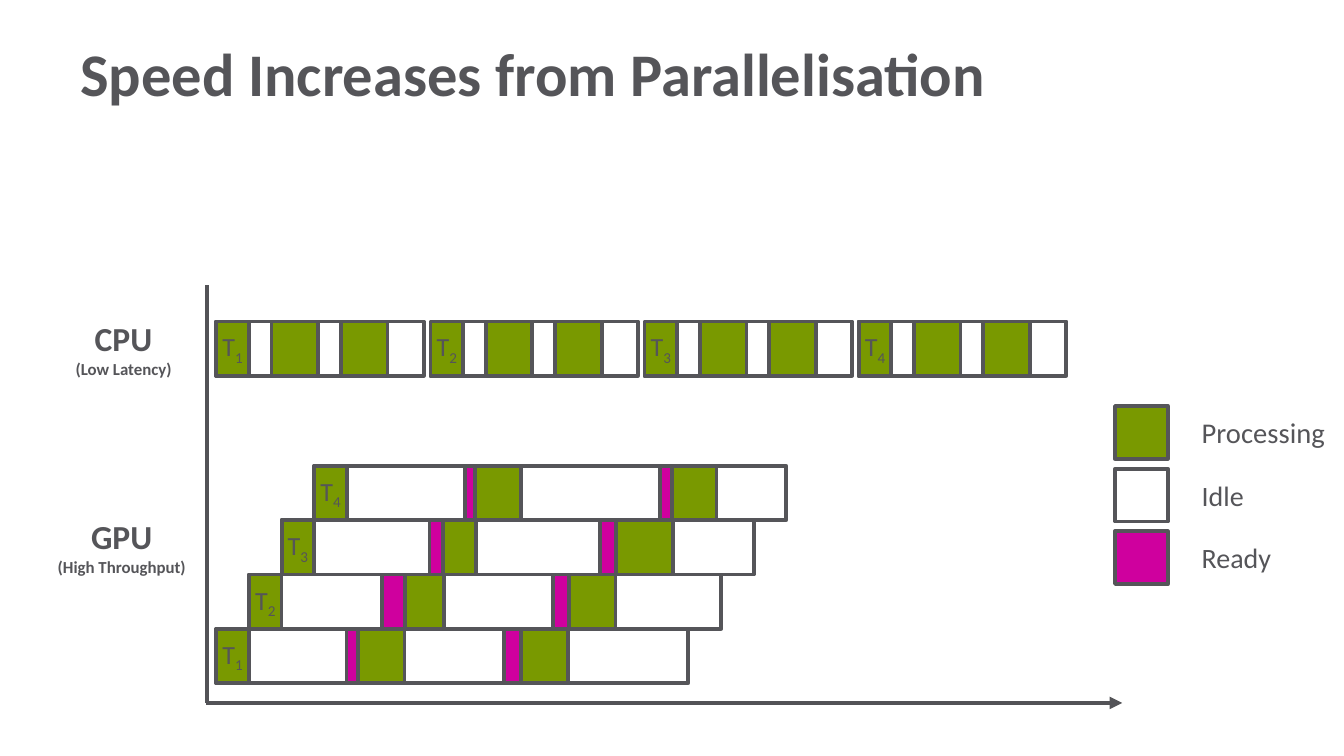
from lxml import etree
from pptx import Presentation
from pptx.dml.color import RGBColor
from pptx.enum.shapes import MSO_CONNECTOR, MSO_SHAPE
from pptx.enum.text import MSO_ANCHOR, PP_ALIGN
from pptx.oxml.ns import qn
from pptx.util import Pt

RECTANGLE = MSO_SHAPE.RECTANGLE
STRAIGHT = MSO_CONNECTOR.STRAIGHT
MIDDLE = MSO_ANCHOR.MIDDLE
LEFT, CENTER = PP_ALIGN.LEFT, PP_ALIGN.CENTER

GREY = RGBColor(0x55, 0x55, 0x59)
AXIS_GREY = RGBColor(0x53, 0x53, 0x57)
GREEN = RGBColor(0x79, 0x99, 0x00)
MAGENTA = RGBColor(0xCF, 0x00, 0x9E)
WHITE = RGBColor(0xFF, 0xFF, 0xFF)
FONT = "Calibri"

BAR_HEIGHT = 29.1
START_WIDTH = 17.5
CHART_LEFT = 115.9

CPU_PROCESSING = [(29.6, 25), (66.8, 25)]
GPU_THREADS = [
    {"processing": [(75.8, 25), (163.4, 25)], "ready": [(69.8, 6), (154.2, 9.2)]},
    {"processing": [(83.5, 20.9), (171.4, 25)], "ready": [(71.3, 12.2), (162.7, 8.7)]},
    {"processing": [(79.2, 25), (179.1, 30.4)], "ready": [(79.2, 7.2), (170.6, 8.5)]},
    {"processing": [(85.9, 25), (191.6, 23.9)], "ready": [(80.8, 5.1), (185.2, 6.4)]},
]


def style_paragraph(paragraph, size, bold=False, alignment=LEFT):
    paragraph.alignment = alignment
    paragraph.font.name = FONT
    paragraph.font.size = Pt(size)
    paragraph.font.bold = bold
    paragraph.font.color.rgb = GREY


def add_text(slide, box, lines, bold=False, alignment=LEFT):
    frame = slide.shapes.add_textbox(*map(Pt, box)).text_frame
    frame.word_wrap = True
    frame.vertical_anchor = MIDDLE
    for index, (text, size) in enumerate(lines):
        paragraph = frame.add_paragraph() if index else frame.paragraphs[0]
        paragraph.text = text
        style_paragraph(paragraph, size, bold, alignment)


def add_block(shapes, box, color):
    block = shapes.add_shape(RECTANGLE, *map(Pt, box))
    block.shadow.inherit = False
    block.fill.solid()
    block.fill.fore_color.rgb = color
    block.line.color.rgb = GREY
    block.line.width = Pt(2)
    return block


def label_thread(block, number):
    frame = block.text_frame
    frame.margin_left = frame.margin_right = frame.margin_top = frame.margin_bottom = 0
    frame.vertical_anchor = MIDDLE
    paragraph = frame.paragraphs[0]
    style_paragraph(paragraph, 14, alignment=CENTER)
    paragraph.add_run().text = "T"
    subscript = paragraph.add_run()
    subscript.text = str(number)
    subscript._r.get_or_add_rPr().set("baseline", "-25000")


def add_thread(slide, box, number, processing, ready=()):
    left, top, width, height = box
    shapes = slide.shapes.add_group_shape().shapes
    add_block(shapes, box, WHITE)
    label_thread(add_block(shapes, (left, top, START_WIDTH, height), GREEN), number)
    for segments, color in ((processing, GREEN), (ready, MAGENTA)):
        for offset, segment_width in segments:
            add_block(shapes, (left + offset, top, segment_width, height), color)


def add_cpu(slide, left, top):
    add_text(slide, (23, 165, 86.4, 43), [("CPU", 18), ("(Low Latency)", 9)], True, CENTER)
    for index in range(4):
        box = (left + 114.7 * index, top, 111.2, BAR_HEIGHT)
        add_thread(slide, box, index + 1, CPU_PROCESSING)


def add_gpu(slide, left, bottom):
    add_text(slide, (18.7, 267.1, 92.9, 51), [("GPU", 18), ("(High Throughput)", 9)], True, CENTER)
    for index, thread in enumerate(GPU_THREADS):
        top = bottom - BAR_HEIGHT * (index + 1)
        box = (left + START_WIDTH * index, top, 252.9, BAR_HEIGHT)
        add_thread(slide, box, index + 1, **thread)


def add_legend(slide, left, top):
    entries = [("Processing", 15.3, GREEN), ("Idle", 15, WHITE), ("Ready", 15, MAGENTA)]
    for index, (name, size, color) in enumerate(entries):
        row_top = top + 33.5 * index
        add_block(slide.shapes, (left, row_top, 28.3, 28.3), color)
        add_text(slide, (left + 39.3, row_top, 83.5, 28.3), [(name, size)])


def add_axis(slide, start, end, arrow=False):
    axis = slide.shapes.add_connector(STRAIGHT, *map(Pt, start + end))
    axis.line.color.rgb = AXIS_GREY
    axis.line.width = Pt(2.25)
    properties = axis._element.spPr
    if arrow:
        etree.SubElement(properties.find(qn("a:ln")), qn("a:tailEnd"), type="triangle")
    etree.SubElement(properties, qn("a:effectLst"))


def add_axes(slide, left, top, right, bottom):
    add_axis(slide, (left - 0.5, bottom), (right, bottom), arrow=True)
    add_axis(slide, (left, bottom), (left, top))


def main():
    presentation = Presentation()
    presentation.slide_width = Pt(720)
    presentation.slide_height = Pt(405)
    slide = presentation.slides.add_slide(presentation.slide_layouts[6])
    add_text(slide, (36, 17.3, 580.3, 43.2), [("Speed Increases from Parallelisation", 32.4)], True)
    add_gpu(slide, CHART_LEFT, 366)
    add_legend(slide, 597.4, 217.6)
    add_cpu(slide, CHART_LEFT, 172.2)
    add_axes(slide, 110.9, 152.9, 601.2, 376.6)
    presentation.save("out.pptx")


if __name__ == "__main__":
    main()
